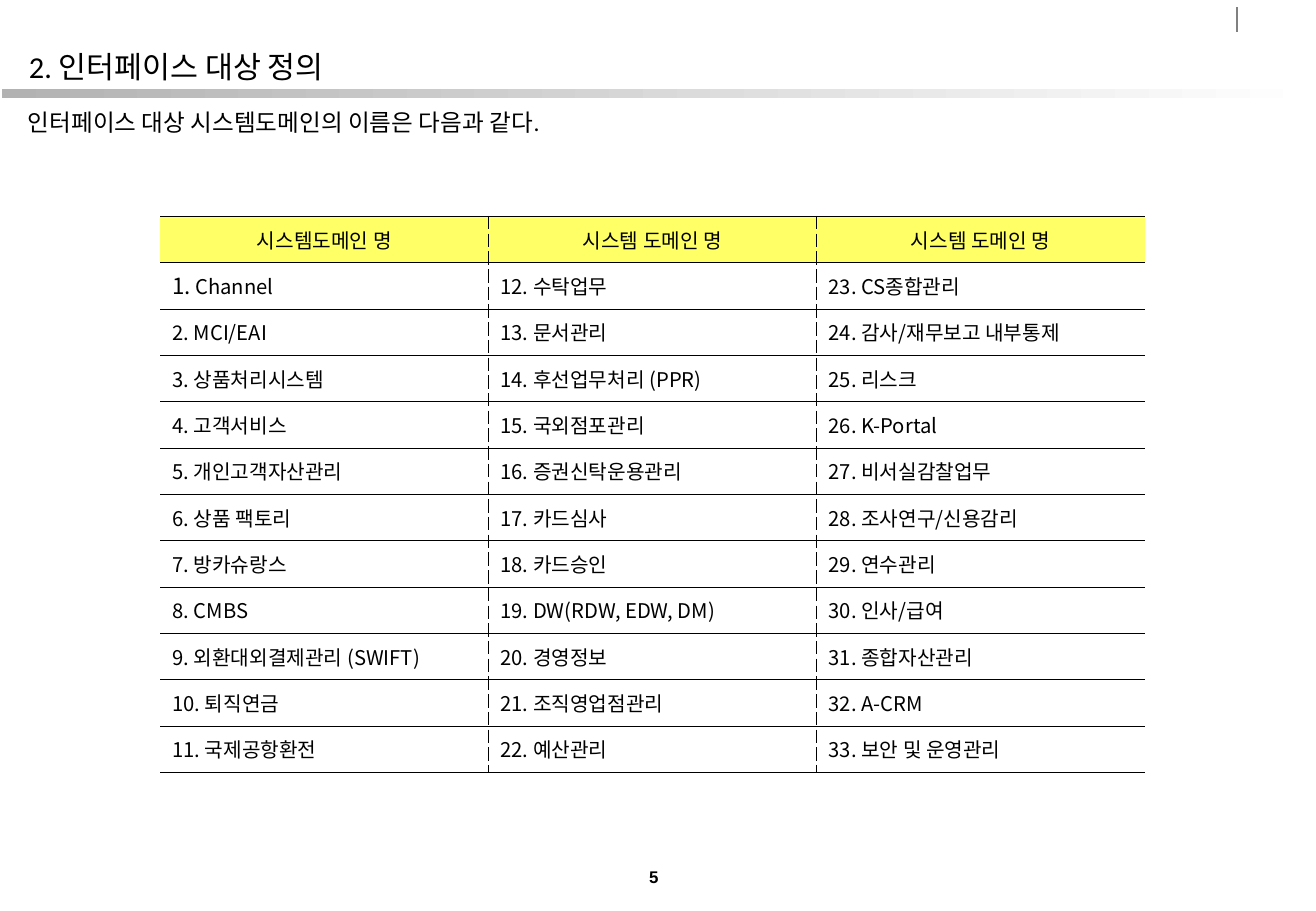
from lxml.etree import SubElement
from pptx import Presentation
from pptx.dml.color import RGBColor
from pptx.enum.shapes import MSO_CONNECTOR, MSO_SHAPE
from pptx.enum.text import MSO_ANCHOR as ANCHOR, PP_ALIGN as ALIGN
from pptx.oxml.ns import qn
from pptx.util import Emu, Pt

PX = 9144  # EMU in one px, 100 px to the inch
BLACK = RGBColor(0x00, 0x00, 0x00)
WHITE = RGBColor(0xFF, 0xFF, 0xFF)
GREY = RGBColor(0x80, 0x80, 0x80)
SILVER = RGBColor(0xB2, 0xB2, 0xB2)
YELLOW = RGBColor(0xFF, 0xFF, 0x66)
KOREAN = "Noto Sans CJK KR"
NO_STYLE = "{2D5ABB26-0587-4C30-8999-92F81FD0307C}"

HEADERS = ["시스템도메인 명", "시스템 도메인 명", "시스템 도메인 명"]
DOMAINS = [
    ["Channel", "MCI/EAI", "상품처리시스템", "고객서비스", "개인고객자산관리",
     "상품 팩토리", "방카슈랑스", "CMBS", "외환대외결제관리 (SWIFT)", "퇴직연금",
     "국제공항환전"],
    ["수탁업무", "문서관리", "후선업무처리 (PPR)", "국외점포관리", "증권신탁운용관리",
     "카드심사", "카드승인", "DW(RDW, EDW, DM)", "경영정보", "조직영업점관리",
     "예산관리"],
    ["CS종합관리", "감사/재무보고 내부통제", "리스크", "K-Portal", "비서실감찰업무",
     "조사연구/신용감리", "연수관리", "인사/급여", "종합자산관리", "A-CRM",
     "보안 및 운영관리"],
]


def px(*lengths):
    return [Emu(n * PX) for n in lengths]


def write(tf, text, align=ALIGN.LEFT, **font):
    p = tf.paragraphs[0]
    p.alignment = align
    r = p.add_run()
    r.text = text
    r.font.color.rgb = BLACK
    for name, value in font.items():
        setattr(r.font, name, value)


def add_text(s, box, text, anchor, margins, align=ALIGN.LEFT, **font):
    """Add a text box; margins are (horizontal, vertical) in px."""
    tf = s.shapes.add_textbox(*px(*box)).text_frame
    tf.word_wrap = True
    tf.vertical_anchor = anchor
    side, edge = px(*margins)
    tf.margin_left = tf.margin_right = side
    tf.margin_top = tf.margin_bottom = edge
    write(tf, text, align, **font)


def add_line(s, ends, color, width):
    line = s.shapes.add_connector(MSO_CONNECTOR.STRAIGHT, *px(*ends))
    line.line.color.rgb = color
    line.line.width = Pt(width)
    SubElement(line._element.spPr, qn("a:effectLst"))


def add_fading_bar(s, box):
    bar = s.shapes.add_shape(MSO_SHAPE.RECTANGLE, *px(*box))
    bar.shadow.inherit = False
    bar.line.fill.background()
    bar.fill.gradient()
    bar.fill.gradient_angle = 180
    for stop, color in zip(bar.fill.gradient_stops, (WHITE, SILVER)):
        stop.color.rgb = color


def add_border(cell, side, dash):
    ln = SubElement(cell._tc.get_or_add_tcPr(), qn(f"a:ln{side}"),
                    w=str(Pt(0.45)))
    fill = SubElement(ln, qn("a:solidFill"))
    SubElement(fill, qn("a:srgbClr"), val=str(BLACK))
    SubElement(ln, qn("a:prstDash"), val=dash)


def number_automatically(p):
    """Number the paragraph from 1, slightly larger than its text."""
    pPr = p._p.get_or_add_pPr()
    indent = px(9)[0]
    pPr.set("marL", str(indent))
    pPr.set("indent", str(-indent))
    color = SubElement(pPr, qn("a:buClr"))
    SubElement(color, qn("a:srgbClr"), val=str(BLACK))
    SubElement(pPr, qn("a:buSzPct"), val="110000")
    SubElement(pPr, qn("a:buAutoNum"), type="arabicPeriod")


def format_cell(cell, col, last_col, is_header):
    cell.vertical_anchor = ANCHOR.MIDDLE
    if col > 0:
        add_border(cell, "L", "dash")
    if col < last_col:
        add_border(cell, "R", "dash")
    for side in "TB":
        add_border(cell, side, "solid")
    if is_header:
        cell.fill.solid()
        cell.fill.fore_color.rgb = YELLOW
    else:
        cell.fill.background()


def add_domain_table(s, box):
    rows, cols = len(DOMAINS[0]) + 1, len(HEADERS)
    table = s.shapes.add_table(rows, cols, *px(*box)).table
    table.horz_banding = False
    table._tbl.tblPr.find(qn("a:tableStyleId")).text = NO_STYLE
    font = {"size": Pt(12), "name": KOREAN, "bold": False}
    number = 0
    for col, (header, names) in enumerate(zip(HEADERS, DOMAINS)):
        for row, text in enumerate([header] + names):
            cell = table.cell(row, col)
            format_cell(cell, col, cols - 1, row == 0)
            tf = cell.text_frame
            if row == 0:
                write(tf, text, ALIGN.CENTER, **font)
                continue
            number += 1
            if number == 1:
                number_automatically(tf.paragraphs[0])
                write(tf, f" {text}", **font)
            else:
                write(tf, f"{number}. {text}", **font)


def main():
    prs = Presentation()
    prs.slide_width, prs.slide_height = px(1084, 750)
    s = prs.slides.add_slide(prs.slide_layouts[6])

    add_text(s, (509, 711, 59, 24), "5", ANCHOR.BOTTOM, (10, 5), ALIGN.CENTER,
             size=Pt(10), name="Arial", bold=True)
    add_line(s, (1019, 6, 1019, 26), GREY, 1)
    add_fading_bar(s, (2, 73, 1083, 8))
    add_text(s, (14, 35, 991, 40), "2. 인터페이스 대상 정의", ANCHOR.MIDDLE,
             (10, 5), size=Pt(18), name="Calibri")
    add_text(s, (16, 86, 1030, 29),
             "인터페이스 대상 시스템도메인의 이름은 다음과 같다.", ANCHOR.TOP,
             (7, 3), size=Pt(14), name="Calibri")
    add_domain_table(s, (132, 178, 811, 458))

    prs.save("out.pptx")


if __name__ == "__main__":
    main()
